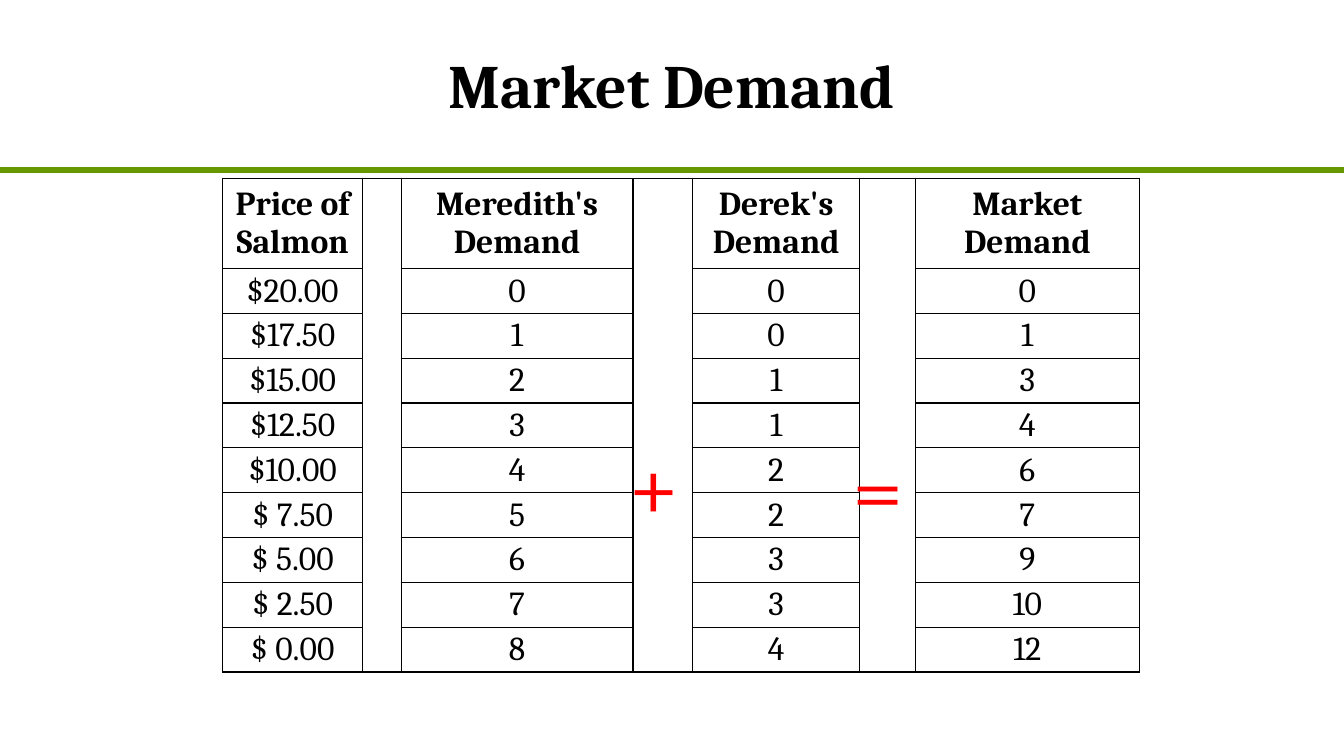
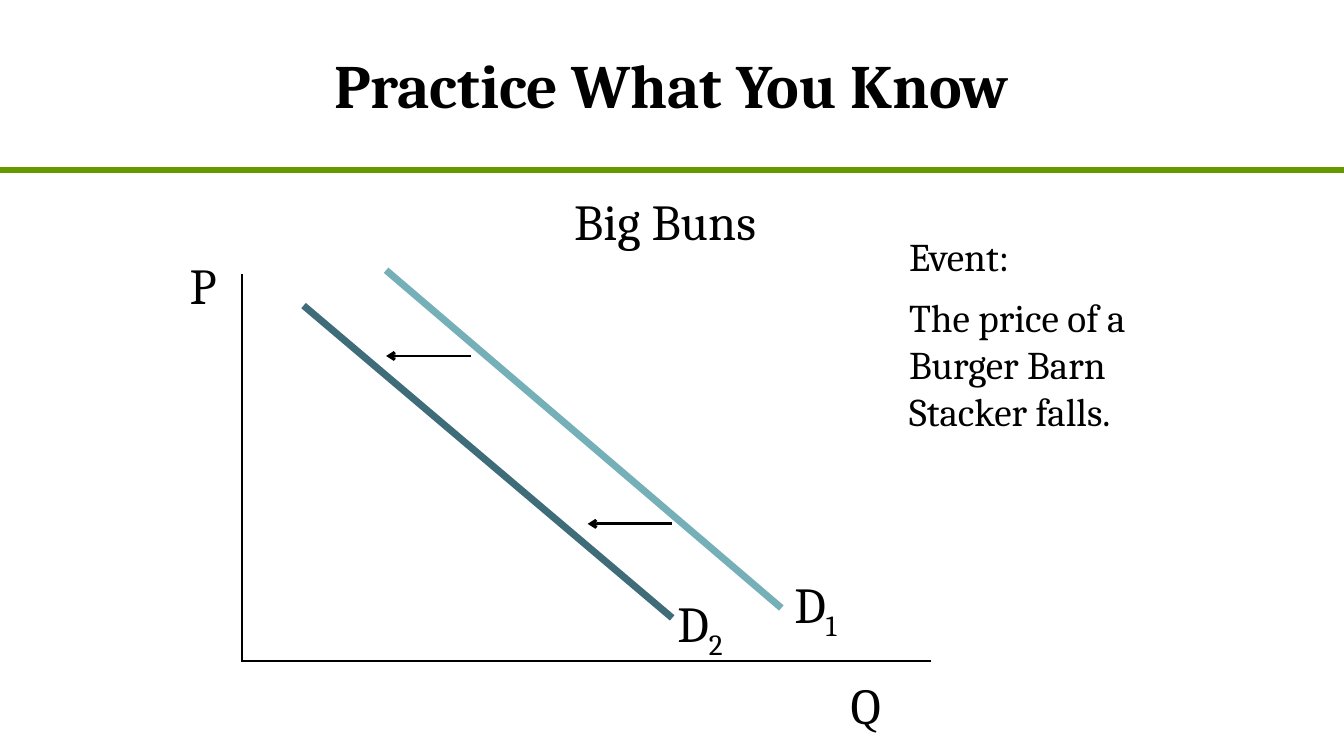
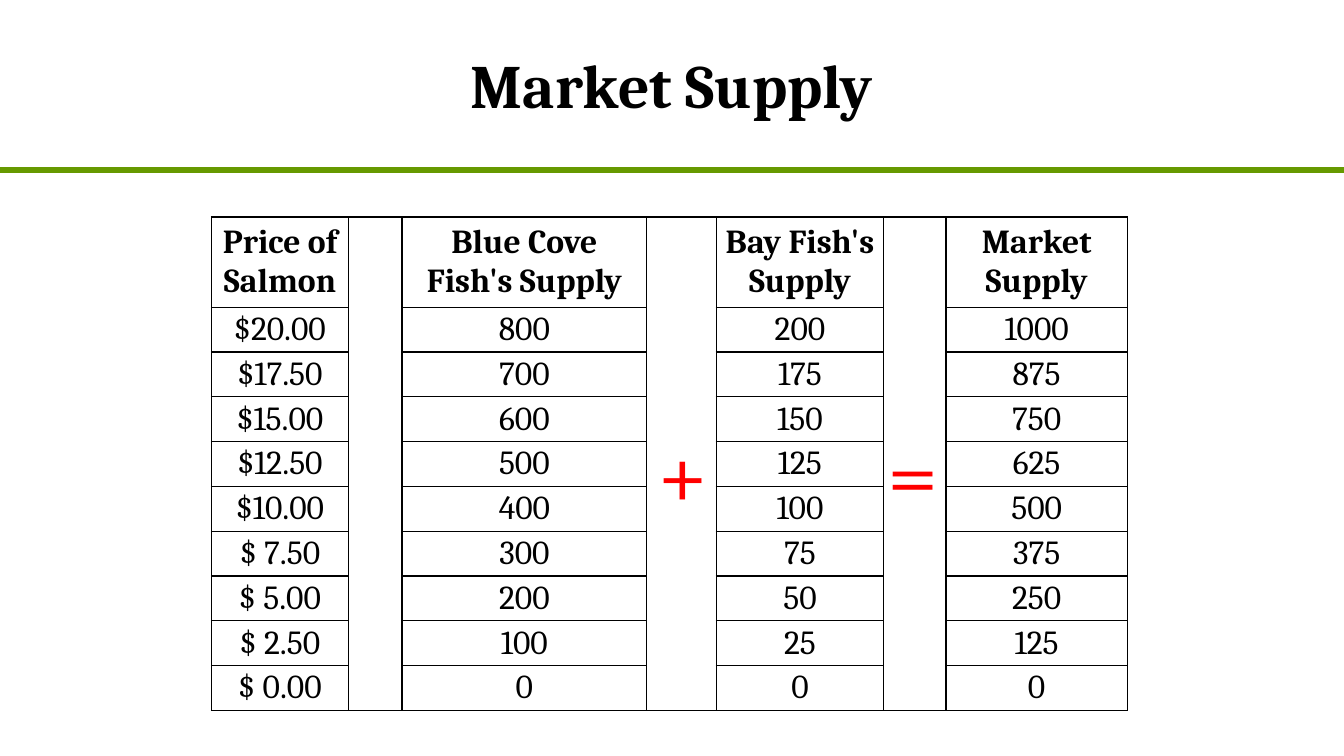
from dataclasses import dataclass

from lxml.etree import SubElement
from pptx import Presentation
from pptx.dml.color import RGBColor as RGB
from pptx.enum.shapes import MSO_CONNECTOR as Connector
from pptx.enum.text import MSO_ANCHOR as Anchor, PP_ALIGN as Align
from pptx.oxml import parse_xml
from pptx.oxml.ns import nsdecls, qn
from pptx.util import Cm, Pt


@dataclass(frozen=True)
class Theme:
    font: str = "Cambria"
    ink: str = "000000"
    rule: str = "669900"
    sign: str = "FF0000"
    old_curve: str = "75AFB7"
    new_curve: str = "3F6C79"
    title_size: int = 44
    table_size: int = 24
    sign_size: int = 66
    label_size: int = 36
    event_size: int = 28
    rule_width: float = 4.5
    curve_width: float = 5
    axis_width: float = 2
    base_width: float = 1.5
    border_width: float = 1


THEME = Theme()
WIDTH, HEIGHT = 33.87, 19.05
RULE_Y = 4.29
HEADER_HEIGHT, ROW_HEIGHT = 2.27, 1.13
PRICES = [f"${20 - 2.5 * step:>5.2f}" for step in range(9)]


def add_run(p, text, size, color=THEME.ink, bold=False, subscript=False):
    r = p.add_run()
    r.text = text
    r.font.name = THEME.font
    r.font.size = Pt(size)
    r.font.bold = bold
    r.font.color.rgb = RGB.from_string(color)
    if subscript:
        r.font.bold = None
        r._r.get_or_add_rPr().set("baseline", "-25000")


def add_line(shapes, start, end, color, width, arrow=False):
    points = [Cm(v) for v in (*start, *end)]
    sp = shapes.add_connector(Connector.STRAIGHT, *points)
    sp.line.color.rgb = RGB.from_string(color)
    sp.line.width = Pt(width)
    if arrow:
        SubElement(sp.line._get_or_add_ln(), qn("a:tailEnd"), type="arrow")
    SubElement(sp.element.spPr, qn("a:effectLst"))
    return sp


def add_text(shapes, box, paragraphs, size, color=THEME.ink, inset=(0.25, 0.13), after=10):
    tf = shapes.add_textbox(*(Cm(v) for v in box)).text_frame
    tf.word_wrap = True
    tf.margin_left = tf.margin_right = Cm(inset[0])
    tf.margin_top = tf.margin_bottom = Cm(inset[1])
    for i, text in enumerate(paragraphs):
        p = tf.add_paragraph() if i else tf.paragraphs[0]
        p.space_after = Pt(after)
        add_run(p, text, size, color)
    return tf


def add_label(shapes, left, top, text, subscript=""):
    width, height = (2.54, 1.75) if subscript else (1.55, 1.12)
    tf = add_text(shapes, (left, top, width, height), [text], THEME.label_size, inset=(0.13, 0.05))
    if subscript:
        add_run(tf.paragraphs[0], subscript, THEME.label_size, subscript=True)


def add_titled_slide(prs, title):
    s = prs.slides.add_slide(prs.slide_layouts[5])
    sp = s.shapes.title
    sp.left, sp.top, sp.width, sp.height = Cm(5.5), Cm(0), Cm(22.86), Cm(4.23)
    sp.text_frame.vertical_anchor = Anchor.MIDDLE
    p = sp.text_frame.paragraphs[0]
    p.alignment = Align.CENTER
    add_run(p, title, THEME.title_size, bold=True)
    return s


def move_to_layout(s, sp):
    s.slide_layout.shapes.element.append(sp.element)


def set_borders(cell, sides):
    tcPr = cell._tc.get_or_add_tcPr()
    for i, side in enumerate("LRTB"):
        paint = "<a:noFill/>"
        if side in sides:
            paint = f'<a:solidFill><a:srgbClr val="{THEME.ink}"/></a:solidFill>'
        width = int(Pt(THEME.border_width))
        tcPr.insert(i, parse_xml(f'<a:ln{side} {nsdecls("a")} w="{width}">{paint}</a:ln{side}>'))


def fill_cell(cell, text, bold):
    cell.vertical_anchor = Anchor.MIDDLE
    cell.margin_left = cell.margin_right = Cm(0.18)
    cell.margin_top = cell.margin_bottom = Cm(0)
    p = cell.text_frame.paragraphs[0]
    p.alignment = Align.CENTER
    add_run(p, text, THEME.table_size, bold=bold)


def add_schedule(s, left, top, col_widths, headers, first, second):
    totals = [a + b for a, b in zip(first, second)]
    rows = [headers, *zip(PRICES, first, second, totals)]
    height = HEADER_HEIGHT + ROW_HEIGHT * len(PRICES)
    table = s.shapes.add_table(len(rows), len(col_widths), Cm(left), Cm(top),
                               Cm(sum(col_widths)), Cm(height)).table
    table.first_row = table.horz_banding = False
    for col, width in zip(table.columns, col_widths):
        col.width = Cm(width)
    for i, values in enumerate(rows):
        table.rows[i].height = Cm(ROW_HEIGHT if i else HEADER_HEIGHT)
        for j in range(len(col_widths)):
            cell = table.cell(i, j)
            cell.fill.background()
            if j % 2 == 0:
                fill_cell(cell, str(values[j // 2]), bold=i == 0)
                set_borders(cell, "LRTB")
            else:
                set_borders(cell, "LR" + "T" * (i == 0) + "B" * (i == len(rows) - 1))


def add_sign(s, left, top, text):
    add_text(s.shapes, (left, top, 2.34, 3.07), [text], THEME.sign_size, THEME.sign, after=0)


def add_curve(s, start, end, color, label_at, number):
    shapes = s.shapes.add_group_shape().shapes
    add_line(shapes, start, end, color, THEME.curve_width)
    add_label(shapes, *label_at, "D", number)


def build_demand(prs):
    s = add_titled_slide(prs, "Market Demand")
    rule = add_line(s.shapes, (0, RULE_Y), (WIDTH, RULE_Y), THEME.rule, THEME.rule_width)
    move_to_layout(s, rule)
    add_schedule(s, 5.61, 4.5, [3.53, 0.97, 5.84, 1.5, 4.22, 1.4, 5.64],
                 ["Price of Salmon", "Meredith's Demand", "Derek's Demand", "Market Demand"],
                 range(9), [0, 0, 1, 1, 2, 2, 3, 3, 4])
    add_sign(s, 15.6, 10.64, "+")
    add_sign(s, 21.23, 10.72, "=")


def build_practice(prs):
    s = add_titled_slide(prs, "Practice What You Know")
    axes = s.shapes.add_group_shape().shapes
    add_line(axes, (6.1, 6.91), (6.1, 16.69), THEME.ink, THEME.axis_width)
    add_label(axes, 4.65, 6.35, "P")
    add_label(axes, 21.31, 16.94, "Q")
    add_curve(s, (9.73, 6.81), (19.69, 15.32), THEME.old_curve, (19.89, 14.4), "1")
    add_text(s.shapes, (14.22, 4.65, 6.2, 1.5), ["Big Buns"], THEME.label_size)
    shifts = s.shapes.add_group_shape().shapes
    for x, y in ((11.86, 8.97), (16.94, 13.2)):
        add_line(shifts, (x, y), (x - 2.13, y), THEME.ink, THEME.axis_width, arrow=True)
    add_curve(s, (7.65, 7.7), (16.94, 15.57), THEME.new_curve, (16.94, 14.88), "2")
    add_text(s.shapes, (22.66, 5.72, 7.42, 6.35),
             ["Event:", "The price of a Burger Barn Stacker falls."], THEME.event_size)
    add_line(s.shapes, (23.47, 16.66), (6.1, 16.66), THEME.ink, THEME.base_width)


def build_supply(prs):
    s = add_titled_slide(prs, "Market Supply")
    add_schedule(s, 5.33, 5.47, [3.45, 1.35, 6.17, 1.75, 4.22, 1.57, 4.57],
                 ["Price of Salmon", "Blue Cove Fish's Supply", "Bay Fish's Supply", "Market Supply"],
                 range(800, -1, -100), range(200, -1, -25))
    add_sign(s, 16.31, 10.34, "+")
    add_sign(s, 22.12, 10.34, "=")


def main():
    prs = Presentation()
    prs.slide_width, prs.slide_height = Cm(WIDTH), Cm(HEIGHT)
    build_demand(prs)
    build_practice(prs)
    build_supply(prs)
    prs.save("out.pptx")


if __name__ == "__main__":
    main()
